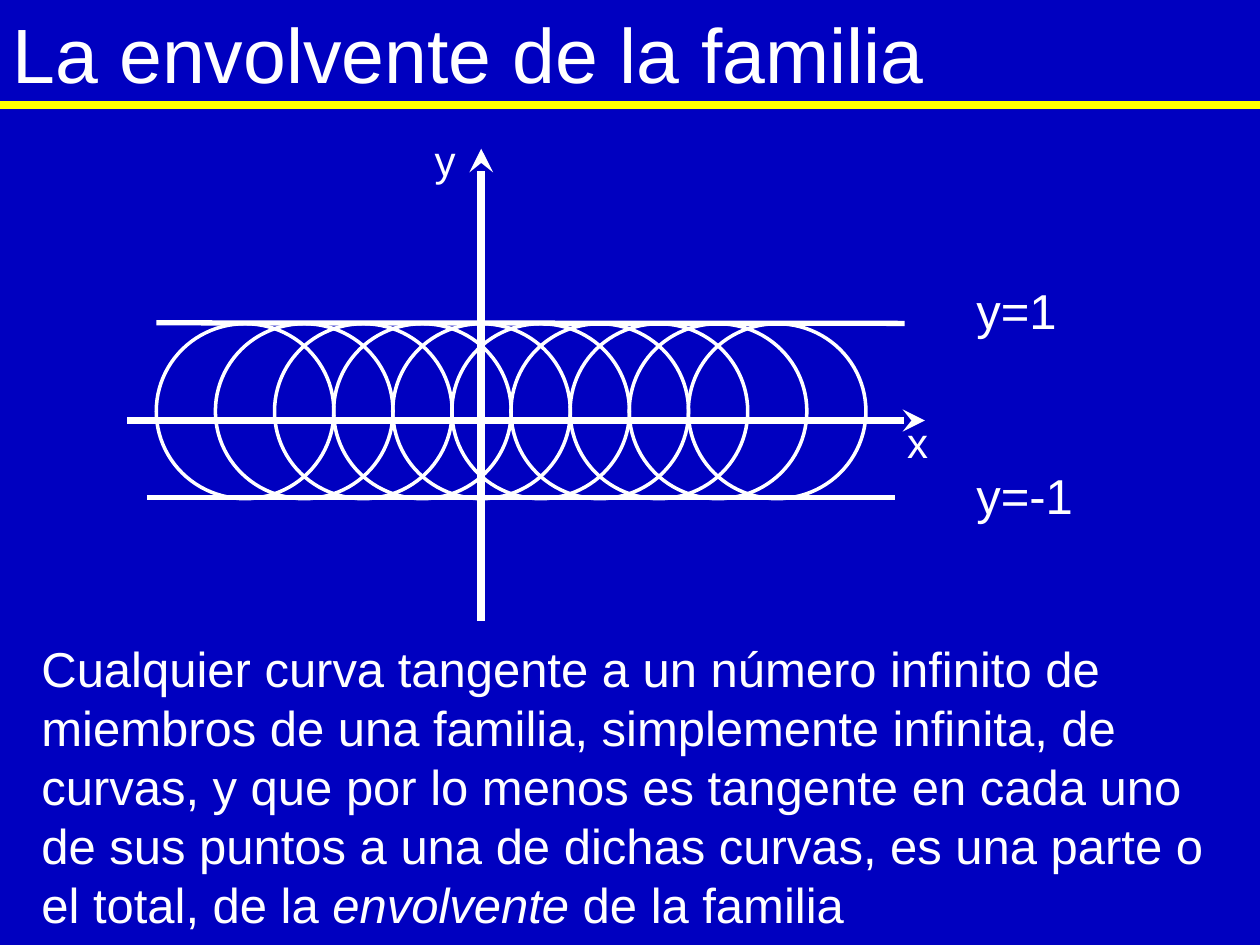
from dataclasses import dataclass

from lxml import etree
from pptx import Presentation
from pptx.dml.color import RGBColor
from pptx.enum import shapes, text
from pptx.oxml import ns
from pptx.util import Pt

BLUE = RGBColor(0x00, 0x00, 0xC0)
WHITE = RGBColor(0xFF, 0xFF, 0xFF)
YELLOW = RGBColor(0xFF, 0xFF, 0x00)
FONT = "Arial"

CIRCLES = 10
CIRCLE_LEFT, CIRCLE_TOP = 89.3, 185
CIRCLE_STEP = 33.78
CIRCLE_W, CIRCLE_H = 101.5, 100


@dataclass
class Run:
    text: str
    italic: bool = False


@dataclass
class Label:
    runs: list[Run]
    left: float
    top: float
    width: float
    height: float
    size: float
    anchor: text.MSO_ANCHOR = text.MSO_ANCHOR.TOP


@dataclass
class Line:
    x1: float
    y1: float
    x2: float
    y2: float
    width: float
    color: RGBColor = WHITE
    arrow: bool = False


TITLE = Label([Run("La envolvente de la familia")], 0, 0, 684, 60.5, 44,
              text.MSO_ANCHOR.MIDDLE)
LABELS = [
    Label([Run("y=1")], 550.8, 157, 101.5, 40.5, 28),
    Label([Run("y=-1")], 550.8, 262.3, 101.5, 40.5, 28),
    Label([Run("y")], 241.2, 73.5, 39.6, 36, 24),
    Label([Run("x")], 511.2, 234.7, 39.6, 36, 24),
    Label([
        Run("Cualquier curva tangente a un número infinito de miembros de una "
            "familia, simplemente infinita, de curvas, y que por lo menos es "
            "tangente en cada uno de sus puntos a una de dichas curvas, es una "
            "parte o el total, de la "),
        Run("envolvente ", italic=True),
        Run("de la familia"),
    ], 16.6, 361.5, 686.2, 177, 28),
]
LINES = [
    Line(89.3, 184.5, 517, 184.8, 3),
    Line(84, 284.4, 511.2, 284.4, 3),
    Line(275, 355, 275, 85, 4.5, arrow=True),
    Line(72.7, 240.3, 528.5, 240.3, 4.25, arrow=True),
    Line(0, 60.2, 720, 60.2, 4.5, YELLOW),
]


def add_label(s, label: Label) -> None:
    sp = s.shapes.add_textbox(Pt(label.left), Pt(label.top),
                              Pt(label.width), Pt(label.height))
    tf = sp.text_frame
    tf.word_wrap = True
    tf.vertical_anchor = label.anchor
    p = tf.paragraphs[0]
    for run in label.runs:
        r = p.add_run()
        r.text = run.text
        r.font.name = FONT
        r.font.size = Pt(label.size)
        r.font.italic = run.italic
        r.font.color.rgb = WHITE


def add_circle(s, left: float) -> None:
    sp = s.shapes.add_shape(shapes.MSO_SHAPE.OVAL, Pt(left), Pt(CIRCLE_TOP),
                            Pt(CIRCLE_W), Pt(CIRCLE_H))
    sp.shadow.inherit = False
    sp.fill.background()
    sp.line.color.rgb = WHITE
    sp.line.width = Pt(2)


def add_line(s, line: Line) -> None:
    cx = s.shapes.add_connector(shapes.MSO_CONNECTOR.STRAIGHT,
                                Pt(line.x1), Pt(line.y1),
                                Pt(line.x2), Pt(line.y2))
    cx.line.color.rgb = line.color
    cx.line.width = Pt(line.width)
    if line.arrow:
        ln = cx.line._get_or_add_ln()
        etree.SubElement(ln, ns.qn("a:tailEnd"), type="stealth")
    etree.SubElement(cx._element.spPr, ns.qn("a:effectLst"))


def main() -> None:
    prs = Presentation()
    prs.slide_width, prs.slide_height = Pt(720), Pt(540)
    s = prs.slides.add_slide(prs.slide_layouts[6])
    s.background.fill.solid()
    s.background.fill.fore_color.rgb = BLUE

    add_label(s, TITLE)
    for i in range(CIRCLES):
        add_circle(s, CIRCLE_LEFT + i * CIRCLE_STEP)
    for line in LINES:
        add_line(s, line)
    for label in LABELS:
        add_label(s, label)

    prs.save("out.pptx")


if __name__ == "__main__":
    main()
